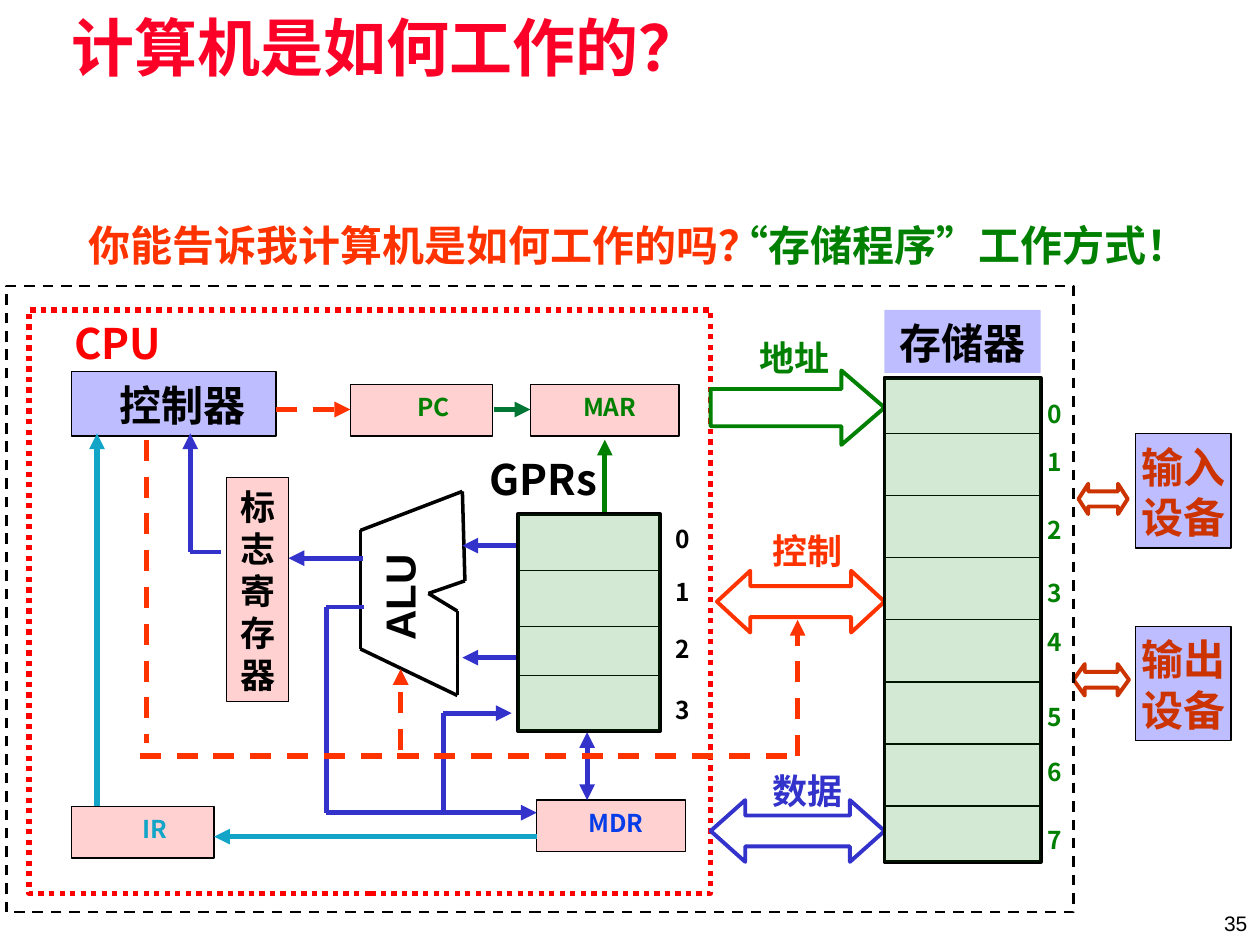
from lxml import etree
from pptx import Presentation
from pptx.dml.color import RGBColor
from pptx.enum.dml import MSO_LINE
from pptx.enum.shapes import MSO_CONNECTOR, MSO_SHAPE
from pptx.enum.text import MSO_ANCHOR, PP_ALIGN
from pptx.oxml.ns import qn
from pptx.util import Inches, Pt

RECT, BOTH_WAYS, RIGHT = (MSO_SHAPE.RECTANGLE, MSO_SHAPE.LEFT_RIGHT_ARROW,
                          MSO_SHAPE.RIGHT_ARROW)
DASH, DOTS = MSO_LINE.DASH, MSO_LINE.ROUND_DOT
STRAIGHT = MSO_CONNECTOR.STRAIGHT
CENTER, ALIGN_RIGHT = PP_ALIGN.CENTER, PP_ALIGN.RIGHT
TOP, MIDDLE = MSO_ANCHOR.TOP, MSO_ANCHOR.MIDDLE

BLACK = RGBColor(0x00, 0x00, 0x00)
WHITE = RGBColor(0xFF, 0xFF, 0xFF)
CRIMSON = RGBColor(0xFC, 0x01, 0x28)
RED = RGBColor(0xFF, 0x00, 0x00)
BLUE = RGBColor(0x00, 0x00, 0xFF)
GREEN = RGBColor(0x00, 0x80, 0x00)
DARK_GREEN = RGBColor(0x00, 0x76, 0x35)
ORANGE = RGBColor(0xFF, 0x33, 0x00)
RUST = RGBColor(0xCC, 0x33, 0x00)
INDIGO = RGBColor(0x33, 0x33, 0xCC)
ROYAL = RGBColor(0x06, 0x3D, 0xE8)
CYAN = RGBColor(0x12, 0xA5, 0xC8)
CJK, LATIN = "Noto Sans CJK SC", "Arial"

prs = Presentation()
prs.slide_width, prs.slide_height = Inches(10), Inches(7.5)
slide = prs.slides.add_slide(prs.slide_layouts[5])
shapes = slide.shapes


def add_box(x, y, w, h, text="", size=14, color=BLACK, shape=None, fill=None,
            alpha=None, line=None, width=0.75, dash=None, pad=0, font=CJK,
            bold=True, align=CENTER, anchor=TOP):
    """Add a text box, or a preset shape if one is given; pad is the left inset."""
    at = [Inches(v) for v in (x, y, w, h)]
    if shape is None:
        s = shapes.add_textbox(*at)
    else:
        s = shapes.add_shape(shape, *at)
        s.shadow.inherit = False
        if fill is None:
            s.fill.background()
        else:
            s.fill.solid()
            s.fill.fore_color.rgb = fill
        if alpha:
            clr = s._element.spPr.find(".//" + qn("a:srgbClr"))
            etree.SubElement(clr, qn("a:alpha"), val=str(alpha * 1000))
        if line is None:
            s.line.fill.background()
        else:
            s.line.color.rgb = line
            s.line.width = Pt(width)
            s.line.dash_style = dash
    if text:
        tf = s.text_frame
        layout = {"word_wrap": True, "vertical_anchor": anchor, "margin_left": Inches(pad),
                  "margin_right": 0, "margin_top": Inches(0.06), "margin_bottom": 0}
        for name, value in layout.items():
            setattr(tf, name, value)
        for i, words in enumerate(text.split("\n")):
            p = tf.add_paragraph() if i else tf.paragraphs[0]
            p.alignment = align
            p.line_spacing = Pt(round(size * 1.2, 1))
            r = p.add_run()
            r.text = words
            for name, value in {"size": Pt(size), "name": font, "bold": bold}.items():
                setattr(r.font, name, value)
            r.font.color.rgb = color
            etree.SubElement(r._r.get_or_add_rPr(), qn("a:ea"), typeface=CJK)
    return s


def add_line(x1, y1, x2, y2, color=BLACK, width=3, dash=None, ends=()):
    """Add a straight line with arrowheads at the ends named head (start) or tail."""
    s = shapes.add_connector(STRAIGHT, *[Inches(v) for v in (x1, y1, x2, y2)])
    s.line.color.rgb = color
    s.line.width = Pt(width)
    s.line.dash_style = dash
    spPr = s._element.spPr
    for end in ends:
        etree.SubElement(spPr.find(qn("a:ln")), qn(f"a:{end}End"), type="triangle")
    etree.SubElement(spPr, qn("a:effectLst"))


TAIL = ["tail"]

# Title and questions
title = shapes.title
title.left, title.top, title.width, title.height = [Inches(v) for v in (0.5, 0.11, 9, 0.61)]
tf = title.text_frame
for name, value in {"margin_left": Inches(0.07), "margin_right": Inches(0.07),
                    "margin_top": Inches(0.03), "margin_bottom": Inches(0.03),
                    "vertical_anchor": MIDDLE, "word_wrap": True}.items():
    setattr(tf, name, value)
p = tf.paragraphs[0]
p.alignment = PP_ALIGN.LEFT
p.line_spacing = 0.87
r = p.add_run()
r.text = "计算机是如何工作的？"
for name, value in {"size": Pt(36), "name": LATIN, "bold": True}.items():
    setattr(r.font, name, value)
r.font.color.rgb = CRIMSON
etree.SubElement(r._r.get_or_add_rPr(), qn("a:ea"), typeface=CJK)

add_box(0.27, 1.68, 6.2, 0.5, "你能告诉我计算机是如何工作的吗？", 24, ORANGE)
add_box(5.59, 1.68, 4.02, 0.5, "“存储程序”工作方式！", 24, GREEN)

# CPU frame and its units
add_box(0.23, 2.46, 5.41, 4.63, shape=RECT, line=RED, width=3, dash=DOTS)
add_box(0.47, 2.46, 0.93, 0.5, "CPU", 24, RED)
add_box(0.57, 2.95, 1.62, 0.51, "控制器", 24, shape=RECT, fill=BLUE, alpha=26,
        line=BLACK, pad=0.14)
for x, y, w, name, color, pad in [(2.78, 3.05, 1.13, "PC", GREEN, 0.19),
                                  (4.21, 3.05, 1.18, "MAR", GREEN, 0.08),
                                  (4.26, 6.35, 1.18, "MDR", ROYAL, 0.08),
                                  (0.57, 6.4, 1.13, "IR", CYAN, 0.19)]:
    add_box(x, y, w, 0.41, name, 14, color, RECT, RED, 18, BLACK, pad=pad)
add_box(1.8, 3.79, 0.49, 1.78, "标\n志\n寄\n存\n器", 20, shape=RECT, fill=RED,
        alpha=18, line=BLACK)

# Input and output devices
for y, name in [(3.44, "输入\n设备"), (4.97, "输出\n设备")]:
    add_box(9.01, y, 0.76, 0.91, name, 24, RUST, RECT, BLUE, 26, BLACK)

# ALU outline
corners = [(3.67, 3.9), (3.69, 4.61), (3.4, 4.71), (3.63, 4.85),
           (3.63, 5.52), (2.86, 5.15), (2.86, 4.21)]
for start, end in zip(corners, corners[1:] + corners[:1]):
    add_line(*start, *end, width=2)
add_box(2.69, 4.51, 0.89, 0.46, "ALU", 24, font=LATIN).rotation = 270

# Data paths inside the CPU
for x1, y1, x2, y2, color, width, ends in [
        (3.92, 3.25, 4.21, 3.25, DARK_GREEN, 3, TAIL),
        (4.66, 5.81, 4.66, 6.35, INDIGO, 3, ["head", "tail"]),
        (4.11, 4.33, 3.67, 4.33, INDIGO, 3, TAIL),
        (4.11, 5.22, 3.67, 5.22, INDIGO, 3, TAIL),
        (2.88, 4.43, 2.29, 4.43, INDIGO, 3, TAIL),
        (1.75, 4.38, 1.51, 4.38, INDIGO, 2.25, []),
        (1.51, 4.38, 1.51, 3.44, INDIGO, 3, TAIL),
        (4.8, 4.08, 4.8, 3.49, GREEN, 3, TAIL),
        (2.59, 4.82, 2.59, 6.45, INDIGO, 3, []),
        (2.59, 6.45, 4.26, 6.45, INDIGO, 3, TAIL),
        (2.89, 4.82, 2.59, 4.82, INDIGO, 2.25, []),
        (3.52, 6.45, 3.52, 5.66, INDIGO, 3, []),
        (3.52, 5.66, 4.06, 5.66, INDIGO, 3, TAIL),
        (4.26, 6.64, 1.7, 6.64, CYAN, 3, TAIL),
        (0.77, 6.4, 0.77, 3.44, CYAN, 3, TAIL)]:
    add_line(x1, y1, x2, y2, color, width, ends=ends)

# Buses and device links
for shape, x, y, w, h, point, color in [(BOTH_WAYS, 8.56, 3.84, 0.39, 0.24, 0.32, RUST),
                                        (BOTH_WAYS, 8.52, 5.27, 0.44, 0.25, 0.36, RUST),
                                        (RIGHT, 5.64, 2.94, 1.38, 0.59, 0.58, GREEN),
                                        (BOTH_WAYS, 5.69, 4.53, 1.33, 0.49, 0.54, ORANGE),
                                        (BOTH_WAYS, 5.64, 6.35, 1.38, 0.49, 0.56, INDIGO)]:
    s = add_box(x, y, w, h, shape=shape, fill=WHITE, line=color, width=2.25)
    s.adjustments[0], s.adjustments[1] = 0.5, point
for x, y, w, name, color in [(5.84, 2.61, 0.94, "地址", GREEN),
                             (5.94, 4.14, 0.94, "控制", ORANGE),
                             (5.99, 6.05, 0.84, "数据", INDIGO)]:
    add_box(x, y, w, 0.43, name, 20, color)

# Control signals
for x1, y1, x2, y2, ends in [(2.19, 3.25, 2.78, 3.25, TAIL),
                             (1.11, 6, 6.28, 6, []),
                             (1.16, 3.49, 1.16, 5.9, []),
                             (3.18, 5.95, 3.18, 5.31, TAIL),
                             (6.33, 6, 6.33, 4.92, TAIL)]:
    add_line(x1, y1, x2, y2, ORANGE, dash=DASH, ends=ends)

# Register file and memory, each a tinted stack of numbered cells
add_box(3.67, 3.54, 1.28, 0.5, "GPRs", 24)
add_box(7.02, 2.46, 1.24, 0.5, "存储器", 24, shape=RECT, fill=BLUE, alpha=26)
memory_rows = [3.44 + 0.493 * i for i in range(7)]
for x, y, w, h, rows, label_x, label_w, label_tops, color in [
        (4.11, 4.08, 1.13, 1.72, [4.53, 4.97, 5.36],
         5.24, 0.35, [4.1, 4.52, 4.97, 5.46], BLACK),
        (7.02, 3, 1.24, 3.84, memory_rows,
         8.21, 0.33, [3.11, 3.49, 4.03, 4.53, 4.92, 5.51, 5.95, 6.49], GREEN)]:
    add_box(x, y, w, h, shape=RECT, fill=WHITE, line=BLACK, width=2.25)
    for row in rows:
        add_line(x, row, x + w, row, width=0.75)
    for i, label_y in enumerate(label_tops):
        add_box(label_x, label_y, label_w, 0.4, str(i), 14, color)
    add_box(x, y, w, h, shape=RECT, fill=GREEN, alpha=17)

# Host frame and page number
add_box(0.05, 2.27, 8.47, 4.97, shape=RECT, line=BLACK, width=1.5, dash=DASH)
add_box(7.75, 7.1, 2.15, 0.4, "35", 12, font=LATIN, bold=False,
        align=ALIGN_RIGHT, anchor=MIDDLE)

prs.save("out.pptx")
